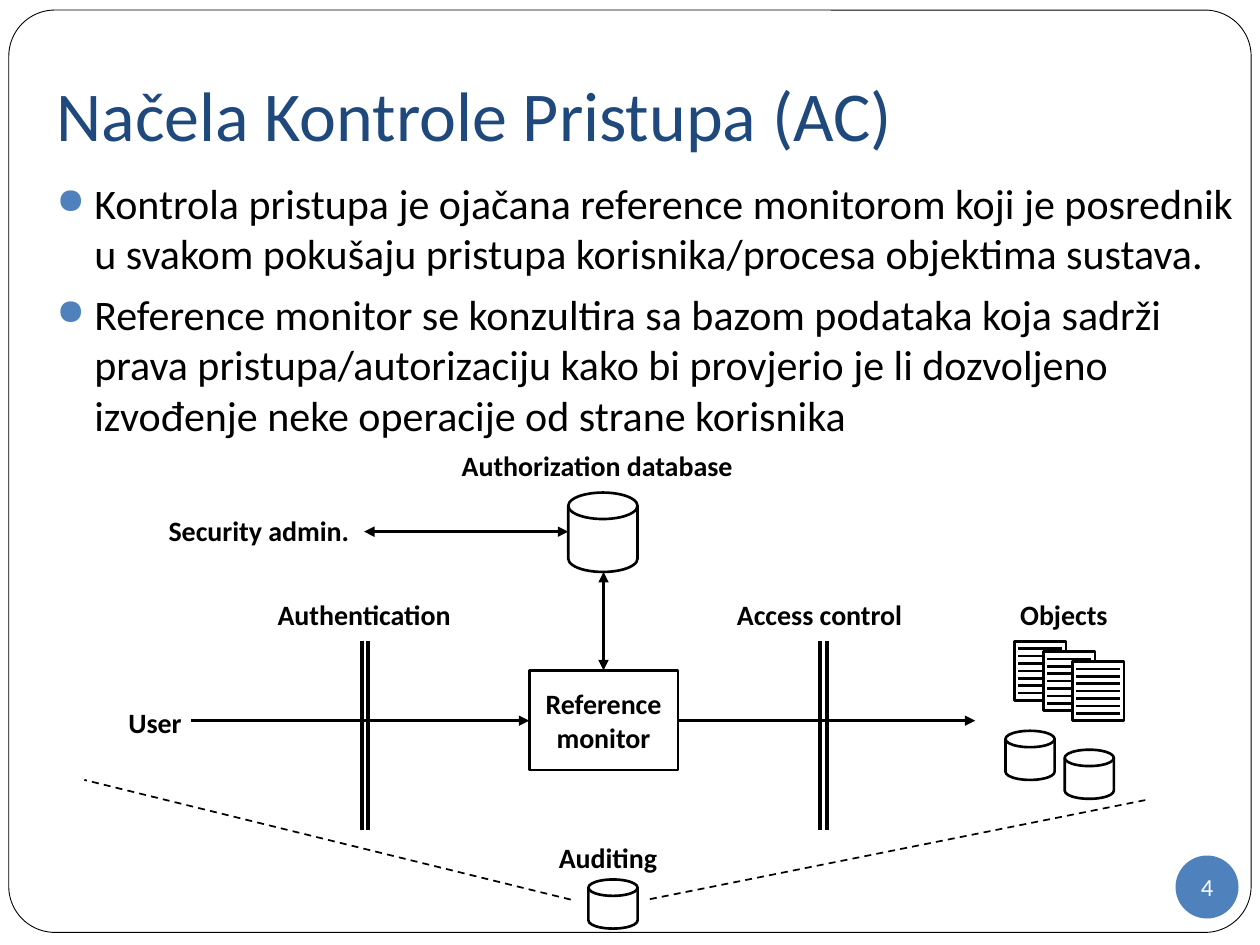
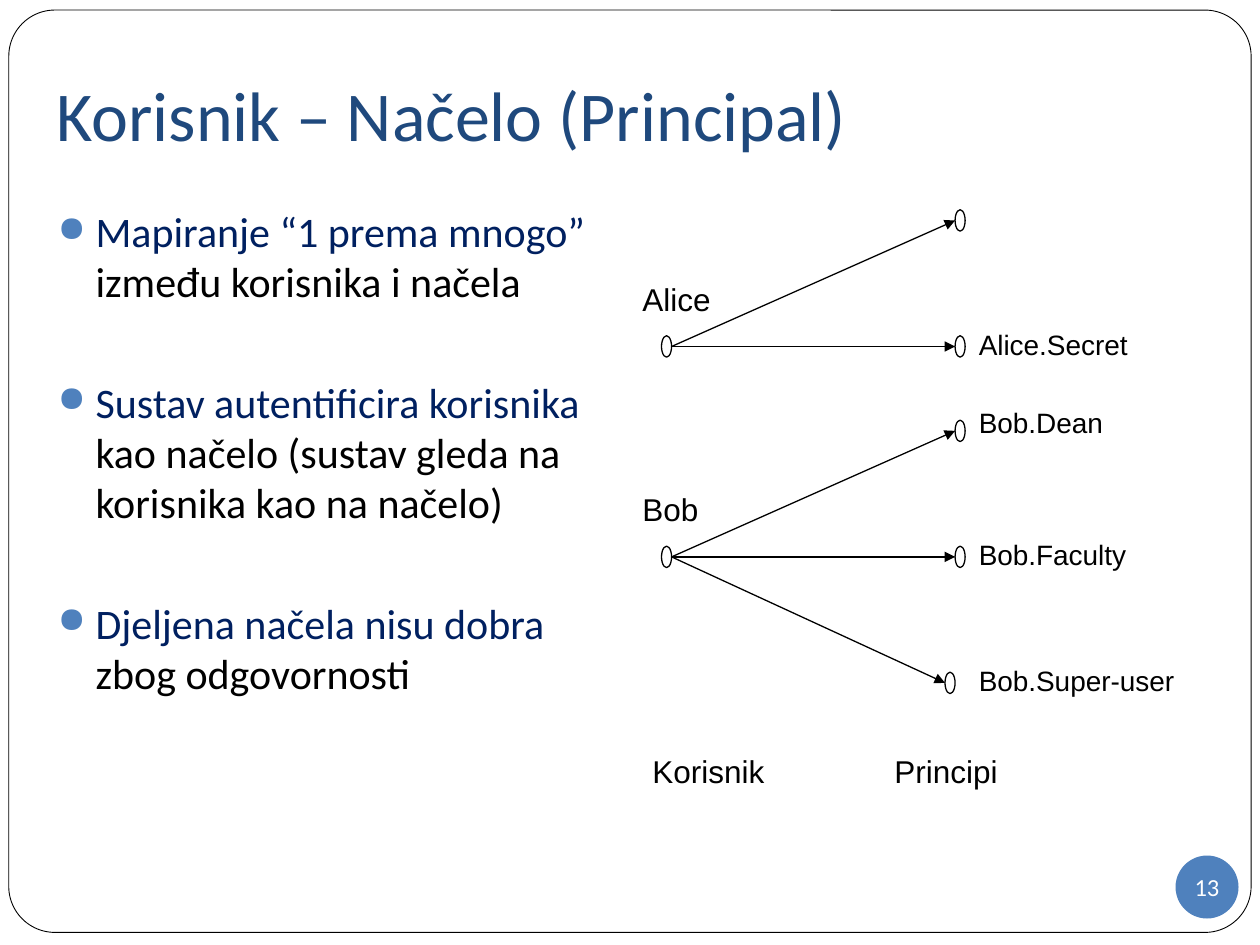
"""Builds two slides on access control and on users and principals."""
from lxml.etree import SubElement
from pptx import Presentation
from pptx.dml.color import RGBColor
from pptx.enum.dml import MSO_LINE
from pptx.enum.shapes import MSO_CONNECTOR, MSO_SHAPE
from pptx.enum.text import MSO_ANCHOR, PP_ALIGN
from pptx.oxml.ns import qn
from pptx.util import Inches, Pt

BLACK = RGBColor(0x00, 0x00, 0x00)
WHITE = RGBColor(0xFF, 0xFF, 0xFF)
BLUE = RGBColor(0x4F, 0x81, 0xBD)
TITLE = RGBColor(0x1F, 0x49, 0x7D)
NAVY = RGBColor(0x00, 0x20, 0x60)
SANS, ARIAL = "Calibri", "Arial"

RULES = [
    [("Kontrola pristupa je ojačana reference monitorom koji je posrednik "
      "u svakom pokušaju pristupa korisnika/procesa objektima sustava.", BLACK)],
    [("Reference monitor se konzultira sa bazom podataka koja sadrži prava "
      "pristupa/autorizaciju kako bi provjerio je li dozvoljeno izvođenje "
      "neke operacije od strane korisnika", BLACK)],
]
TRAITS = [
    [("Mapiranje “1 prema mnogo” ", NAVY), ("između korisnika i načela", BLACK)],
    [("Sustav autentificira korisnika ", NAVY),
     ("kao načelo (sustav gleda na korisnika kao na načelo)", BLACK)],
    [("Djeljena načela nisu dobra ", NAVY), ("zbog odgovornosti", BLACK)],
]

LABELS = [
    ("Authorization database", 3.56, 3.51, 2.36),
    ("Security admin.", 1.23, 4.03, 1.65),
    ("Authentication", 2.07, 4.69, 1.64),
    ("Access control", 5.72, 4.69, 1.57),
    ("Objects", 7.66, 4.69, 1.57),
    ("User", 0.72, 5.55, 1.02),
    ("Auditing", 4.04, 6.62, 1.57),
]
MONITOR = ("Reference monitor", 4.2, 5.32, 1.18, 0.79)
DISKS = [
    (4.51, 3.91, 0.55, 0.63),
    (7.98, 5.8, 0.39, 0.39),
    (8.45, 5.95, 0.39, 0.39),
    (4.67, 6.98, 0.39, 0.39),
]
FLOWS = [
    ((4.79, 5.32), (4.79, 4.54), "both"),
    ((4.51, 4.22), (2.89, 4.22), "both"),
    ((1.52, 5.72), (4.2, 5.72), "tail"),
    ((5.38, 5.72), (7.74, 5.72), "tail"),
]
AUDITS = [((9.09, 6.35), (5.14, 7.14)), ((4.53, 7.14), (0.67, 6.19))]
GATES = [2.87, 6.51]
GATE_GAP, GATE_TOP, GATE_END = 0.05, 5.09, 6.59
PAGES, PAGE_X, PAGE_Y, PAGE_W, PAGE_H = 3, 8.05, 5.09, 0.41, 0.47
STEP_X, STEP_Y, ROWS = 0.23, 0.08, 7

USER_X, NAME_X, NODE_W, NODE_H = 5.25, 7.67, 0.08, 0.17
USERS = [
    ("Alice", 2.75, [(7.58, 1.75, "", 0), (7.58, 2.75, "Alice.Secret", 2.55)]),
    ("Bob", 4.42, [(7.58, 3.42, "Bob.Dean", 3.17),
                   (7.58, 4.42, "Bob.Faculty", 4.22),
                   (7.5, 5.42, "Bob.Super-user", 5.22)]),
]
HEADS = [("Korisnik", 5.08), ("Principi", 7)]


def style(para, size, color, face=SANS, bold=False):
    font = para.font
    font.size, font.name, font.bold = Pt(size), face, bold
    font.color.rgb = color


def write(slide, text, x, y, w, h, size, color=BLACK, face=SANS, bold=False,
          align=PP_ALIGN.LEFT):
    frame = slide.shapes.add_textbox(*map(Inches, (x, y, w, h))).text_frame
    frame.word_wrap = True
    para = frame.paragraphs[0]
    para.text, para.alignment = text, align
    style(para, size, color, face, bold)
    return frame


def draw(slide, kind, x, y, w, h, fill=WHITE, line=BLACK, width=1.5):
    shape = slide.shapes.add_shape(kind, *map(Inches, (x, y, w, h)))
    shape.shadow.inherit = False
    if fill is None:
        shape.fill.background()
    else:
        shape.fill.solid()
        shape.fill.fore_color.rgb = fill
    if line is None:
        shape.line.fill.background()
    else:
        shape.line.color.rgb = line
        shape.line.width = Pt(width)
    return shape


def label(shape, text, size, color, bold=False):
    frame = shape.text_frame
    frame.vertical_anchor = MSO_ANCHOR.MIDDLE
    para = frame.paragraphs[0]
    para.text, para.alignment = text, PP_ALIGN.CENTER
    style(para, size, color, bold=bold)
    return frame


def link(slide, start, end, width=1.5, arrow="", dash=False):
    wire = slide.shapes.add_connector(
        MSO_CONNECTOR.STRAIGHT, *map(Inches, (*start, *end)))
    wire.line.color.rgb = BLACK
    wire.line.width = Pt(width)
    if dash:
        wire.line.dash_style = MSO_LINE.DASH
    props = wire._element.spPr
    edge = props.find(qn("a:ln"))
    if arrow == "both":
        SubElement(edge, qn("a:headEnd"), type="triangle")
    if arrow:
        SubElement(edge, qn("a:tailEnd"), type="triangle")
    SubElement(props, qn("a:effectLst"))


def bullets(slide, items, x, y, w, h, gap=5.8):
    frame = slide.shapes.add_textbox(*map(Inches, (x, y, w, h))).text_frame
    frame.word_wrap = True
    for i, parts in enumerate(items):
        para = frame.add_paragraph() if i else frame.paragraphs[0]
        para.space_before = Pt(gap if i else 5.8)
        props = para._p.get_or_add_pPr()
        props.set("marL", str(Inches(0.3)))
        props.set("indent", str(Inches(-0.3)))
        tint = SubElement(props, qn("a:buClr"))
        SubElement(tint, qn("a:srgbClr"), val=str(BLUE))
        SubElement(props, qn("a:buSzPct"), val="85000")
        SubElement(props, qn("a:buChar"), char="●")
        style(para, 24, BLACK)
        for text, color in parts:
            run = para.add_run()
            run.text = text
            run.font.color.rgb = color


def begin(deck, title, number):
    slide = deck.slides.add_slide(deck.slide_layouts[6])
    border = draw(slide, MSO_SHAPE.ROUNDED_RECTANGLE,
                  0.07, 0.08, 9.86, 7.32, width=0.5)
    border.adjustments[0] = 0.05
    frame = write(slide, title, 0.35, 0.3, 9.37, 1.25, 40, TITLE)
    frame.vertical_anchor = MSO_ANCHOR.MIDDLE
    frame.margin_bottom = Inches(0.1)
    badge = draw(slide, MSO_SHAPE.OVAL, 9.33, 6.79, 0.5, 0.5, BLUE, None)
    frame = label(badge, str(number), 14, WHITE)
    frame.word_wrap = False
    frame.margin_left = frame.margin_right = 0
    frame.margin_top = frame.margin_bottom = 0
    return slide


def page(slide, x, y):
    draw(slide, MSO_SHAPE.RECTANGLE, x, y, PAGE_W, PAGE_H)
    for row in range(1, ROWS + 1):
        level = y + PAGE_H * row / (ROWS + 1)
        link(slide, (x + 0.03, level), (x + PAGE_W - 0.03, level))


def control(deck):
    slide = begin(deck, "Načela Kontrole Pristupa (AC)", 4)
    bullets(slide, RULES, 0.35, 1.36, 9.65, 5.63)
    text, *place = MONITOR
    label(draw(slide, MSO_SHAPE.RECTANGLE, *place), text, 16, BLACK, True)
    for disk in DISKS:
        draw(slide, MSO_SHAPE.FLOWCHART_MAGNETIC_DISK, *disk)
    for start, end, arrow in FLOWS:
        link(slide, start, end, arrow=arrow)
    for left in GATES:
        for x in (left, left + GATE_GAP):
            link(slide, (x, GATE_TOP), (x, GATE_END), 2.25)
    for i in range(PAGES):
        page(slide, PAGE_X + i * STEP_X, PAGE_Y + i * STEP_Y)
    for start, end in AUDITS:
        link(slide, start, end, 1, dash=True)
    for text, x, y, w in LABELS:
        write(slide, text, x, y, w, 0.37, 16, bold=True, align=PP_ALIGN.CENTER)


def node(slide, x, y):
    draw(slide, MSO_SHAPE.OVAL, x, y - NODE_H / 2, NODE_W, NODE_H,
         None, width=0.75)


def mapping(deck):
    slide = begin(deck, "Korisnik – Načelo (Principal)", 13)
    bullets(slide, TRAITS, 0.36, 1.58, 4.49, 5.08, gap=40)
    for user, y, names in USERS:
        node(slide, USER_X, y)
        write(slide, user, 5, y - 0.58, 1, 0.5, 18, face=ARIAL)
        for x, level, name, top in names:
            link(slide, (USER_X + NODE_W, y), (x, level), 0.75, "tail")
            node(slide, x, level)
            if name:
                write(slide, name, NAME_X, top, 1.9, 0.37, 16, face=ARIAL)
    for text, x in HEADS:
        write(slide, text, x, 5.92, 1.58, 0.4, 18, face=ARIAL)


def main():
    deck = Presentation()
    deck.slide_width, deck.slide_height = Inches(10), Inches(7.5)
    control(deck)
    mapping(deck)
    deck.save("out.pptx")


if __name__ == "__main__":
    main()
